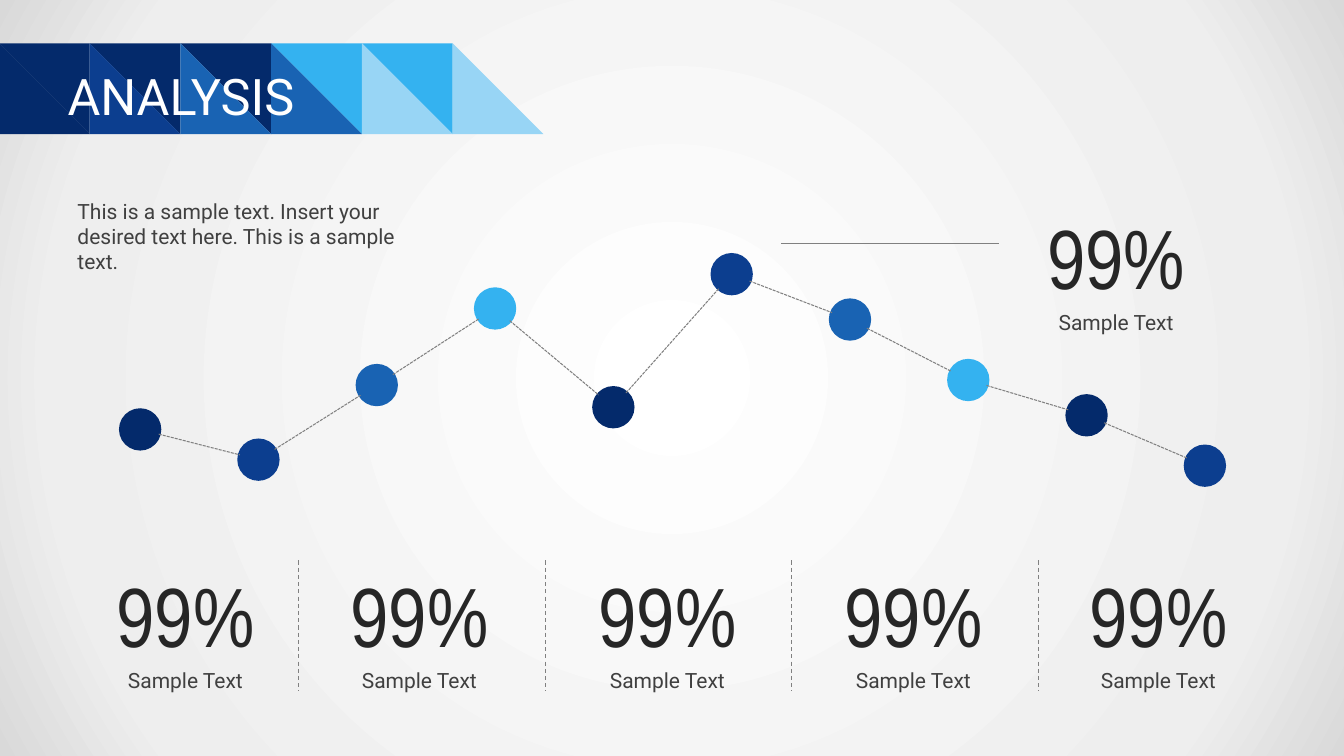
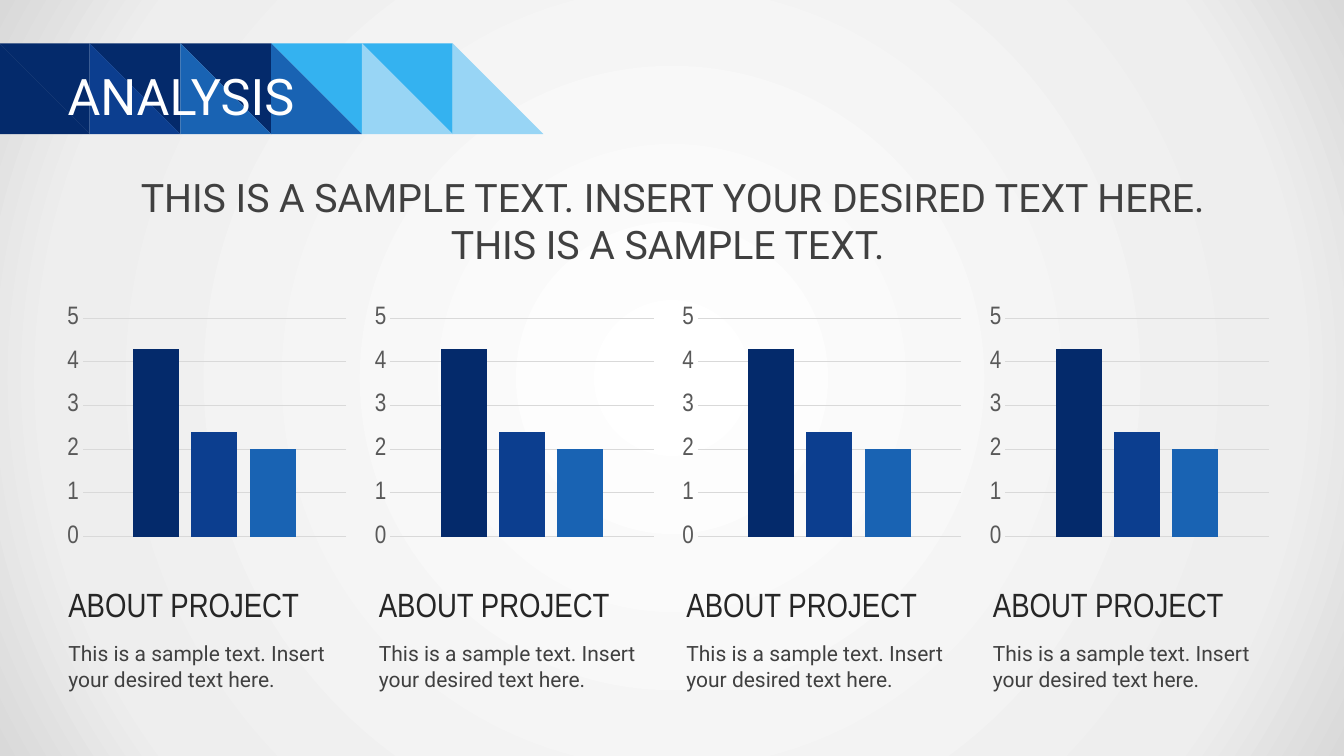
from math import hypot

from pptx import Presentation
from pptx.chart.data import CategoryChartData
from pptx.dml.color import RGBColor
from pptx.enum.chart import XL_CHART_TYPE, XL_TICK_MARK
from pptx.enum.dml import MSO_LINE
from pptx.enum.shapes import MSO_CONNECTOR, MSO_SHAPE
from pptx.enum.text import MSO_ANCHOR, PP_ALIGN
from pptx.oxml import parse_xml
from pptx.oxml.ns import nsdecls, qn
from pptx.util import Inches, Pt

NAVY, ROYAL, BLUE, SKY, PALE = "042A6B", "0C3E8F", "1963B3", "34B2F0", "98D5F5"
WHITE, INK, TEXT, GRAY = "FFFFFF", "262626", "404040", "808080"
AXIS_TEXT, GRID = "595959", "D9D9D9"
BODY_FONT, NUMBER_FONT = "Roboto", "Arial Narrow"
GRADIENT_STOPS = ((0, "FFFFFF"), (81, "EEEEEE"), (100, "D9D9D9"))
BANNER_UPPER = (NAVY, NAVY, NAVY, SKY, SKY)
BANNER_LOWER = (NAVY, ROYAL, BLUE, BLUE, PALE, PALE)


def rgb(value):
    return RGBColor.from_string(value)


class SlideBuilder:
    def __init__(self):
        self.deck = Presentation()
        self.deck.slide_width = Inches(13.33)
        self.deck.slide_height = Inches(7.5)
        self.page = None

    def new_page(self, title):
        self.page = self.deck.slides.add_slide(self.deck.slide_layouts[6])
        self.background()
        self.banner()
        box = self.text(title, 0.67, 0.56, 12, 0.78, 36, WHITE)
        frame = box.text_frame
        frame.margin_left = frame.margin_right = 0
        frame.vertical_anchor = MSO_ANCHOR.MIDDLE

    def background(self):
        self.page.background.fill.solid()
        stops = "".join(
            f'<a:gs pos="{position * 1000}"><a:srgbClr val="{color}"/></a:gs>'
            for position, color in GRADIENT_STOPS
        )
        gradient = parse_xml(
            f'<a:gradFill {nsdecls("a")} rotWithShape="1"><a:gsLst>{stops}</a:gsLst>'
            '<a:path path="circle">'
            '<a:fillToRect l="50000" t="50000" r="50000" b="50000"/>'
            "</a:path></a:gradFill>"
        )
        solid = self.page.element.find(".//" + qn("a:solidFill"))
        solid.getparent().replace(solid, gradient)

    def banner(self):
        left, top, side = -0.01, 0.43, 0.9
        for color_row, corner in ((BANNER_UPPER, (1, 0)), (BANNER_LOWER, (0, 1))):
            for index, color in enumerate(color_row):
                x = left + index * side
                self.triangle(
                    (x, top),
                    (x + side, top + side),
                    (x + corner[0] * side, top + corner[1] * side),
                    color,
                )

    def paint(self, shape, color):
        shape.shadow.inherit = False
        shape.fill.solid()
        shape.fill.fore_color.rgb = rgb(color)
        shape.line.fill.background()

    def triangle(self, start, middle, end, color):
        builder = self.page.shapes.build_freeform(*map(Inches, start))
        builder.add_line_segments(
            [tuple(map(Inches, point)) for point in (middle, end)], close=True
        )
        self.paint(builder.convert_to_shape(), color)

    def dot(self, center, diameter, color):
        x, y = (value - diameter / 2 for value in center)
        shape = self.page.shapes.add_shape(
            MSO_SHAPE.OVAL, Inches(x), Inches(y), Inches(diameter), Inches(diameter)
        )
        self.paint(shape, color)

    def line(self, start, end, dash=None):
        connector = self.page.shapes.add_connector(
            MSO_CONNECTOR.STRAIGHT, *map(Inches, (*start, *end))
        )
        connector.line.color.rgb = rgb(GRAY)
        connector.line.width = Pt(0.75)
        if dash:
            connector.line.dash_style = dash
        properties = connector.element.find(qn("p:spPr"))
        properties.append(parse_xml(f'<a:effectLst {nsdecls("a")}/>'))

    def text(self, content, left, top, width, height, size, color,
             font=BODY_FONT, align=PP_ALIGN.LEFT):
        box = self.page.shapes.add_textbox(*map(Inches, (left, top, width, height)))
        frame = box.text_frame
        frame.word_wrap = True
        frame.text = content
        paragraph = frame.paragraphs[0]
        paragraph.alignment = align
        span = paragraph.runs[0]
        span.font.size = Pt(size)
        span.font.name = font
        span.font.color.rgb = rgb(color)
        return box

    def statistic(self, center, top):
        self.text("99%", center - 0.875, top, 1.75, 1.11, 60, INK,
                  NUMBER_FONT, PP_ALIGN.CENTER)
        self.text("Sample Text", center - 0.73, top + 1.03, 1.46, 0.35, 15, TEXT,
                  align=PP_ALIGN.CENTER)

    def column_chart(self, left, top, width, height, values, colors):
        data = CategoryChartData()
        data.categories = ["1"]
        for number, value in enumerate(values, 1):
            data.add_series(f"Series {number}", [value])
        chart = self.page.shapes.add_chart(
            XL_CHART_TYPE.COLUMN_CLUSTERED,
            *map(Inches, (left, top, width, height)), data
        ).chart
        chart.has_legend = False
        chart.has_title = False
        chart.font.size = Pt(10)
        chart.font.name = NUMBER_FONT
        chart.category_axis.visible = False

        axis = chart.value_axis
        axis.minimum_scale, axis.maximum_scale, axis.major_unit = 0, 5, 1
        axis.major_tick_mark = axis.minor_tick_mark = XL_TICK_MARK.NONE
        axis.format.line.fill.background()
        axis.major_gridlines.format.line.color.rgb = rgb(GRID)
        axis.major_gridlines.format.line.width = Pt(0.75)
        label_font = axis.tick_labels.font
        label_font.size = Pt(18)
        label_font.name = NUMBER_FONT
        label_font.color.rgb = rgb(AXIS_TEXT)

        plot = chart.plots[0]
        plot.gap_width, plot.overlap = 219, -27
        plot.vary_by_categories = False
        for series, color in zip(plot.series, colors):
            series.format.fill.solid()
            series.format.fill.fore_color.rgb = rgb(color)


def trend_slide(builder):
    builder.new_page("ANALYSIS")
    builder.text(
        "This is a sample text. Insert your desired text here. This is a sample text.",
        0.67, 1.92, 3.58, 0.86, 15, TEXT,
    )
    for center in (1.84, 4.16, 6.62, 9.06, 11.49):
        builder.statistic(center, 5.54)
    builder.statistic(11.07, 1.99)
    for index in range(4):
        x = 2.96 + index * 7.34 / 3
        builder.line((x, 5.56), (x, 6.86), MSO_LINE.DASH)

    heights = (4.26, 4.56, 3.82, 3.06, 4.04, 2.72, 3.17, 3.77, 4.12, 4.62)
    points = [(1.39 + index * 10.56 / 9, y) for index, y in enumerate(heights)]
    dot_colors = (NAVY, ROYAL, BLUE, SKY)
    for index, point in enumerate(points):
        builder.dot(point, 0.42, dot_colors[index % len(dot_colors)])
    for (x1, y1), (x2, y2) in zip(points, points[1:]):
        share = 0.19 / hypot(x2 - x1, y2 - y1)
        dx, dy = (x2 - x1) * share, (y2 - y1) * share
        builder.line((x1 + dx, y1 + dy), (x2 - dx, y2 - dy), MSO_LINE.SQUARE_DOT)
    builder.line((7.75, 2.42), (9.91, 2.42))


def project_slide(builder):
    builder.new_page("ANALYSIS")
    builder.text(
        "THIS IS A SAMPLE TEXT. INSERT YOUR DESIRED TEXT HERE. THIS IS A SAMPLE TEXT. ",
        0.92, 1.67, 11.5, 1.04, 28, TEXT, align=PP_ALIGN.CENTER,
    )
    for index, text_left in enumerate((0.58, 3.66, 6.71, 9.75)):
        builder.column_chart(0.61 + index * 3.05, 2.99, 2.88, 2.5,
                             (4.3, 2.4, 2), (NAVY, ROYAL, BLUE))
        builder.text("ABOUT PROJECT", text_left, 5.74, 2.83, 0.5, 24, INK, NUMBER_FONT)
        builder.text("This is a sample text. Insert your desired text here.",
                     text_left, 6.31, 2.83, 0.61, 15, TEXT)


def main():
    builder = SlideBuilder()
    trend_slide(builder)
    project_slide(builder)
    builder.deck.save("out.pptx")


if __name__ == "__main__":
    main()
